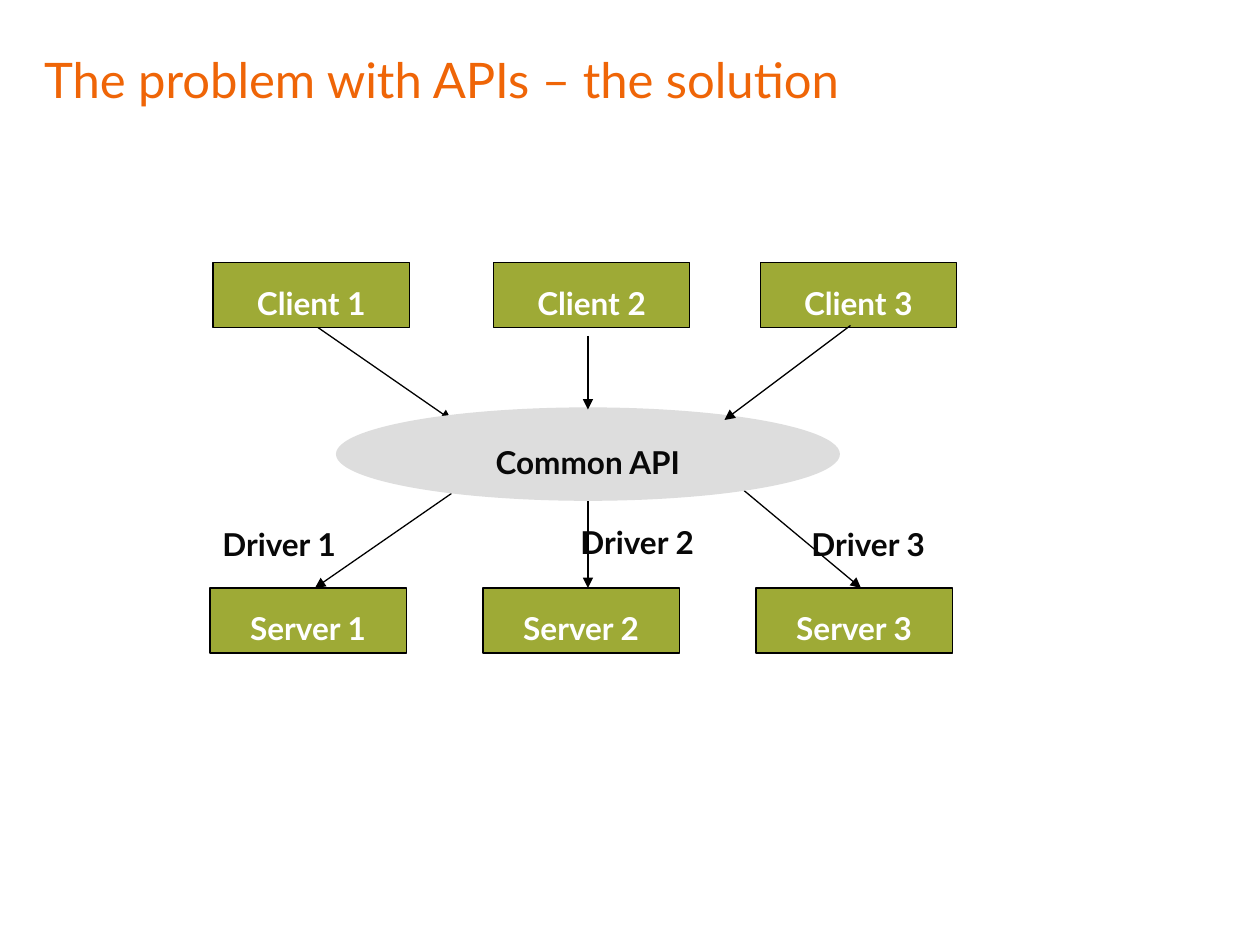
from lxml import etree
from pptx import Presentation
from pptx.dml.color import RGBColor
from pptx.enum.shapes import MSO_CONNECTOR, MSO_SHAPE
from pptx.enum.text import MSO_ANCHOR, PP_ALIGN
from pptx.oxml.ns import qn
from pptx.util import Inches, Pt

RECT, OVAL = MSO_SHAPE.RECTANGLE, MSO_SHAPE.OVAL
LINE = MSO_CONNECTOR.STRAIGHT
MID, TOP = MSO_ANCHOR.MIDDLE, MSO_ANCHOR.TOP
LEFT, CENTER = PP_ALIGN.LEFT, PP_ALIGN.CENTER

ORANGE = RGBColor(0xEF, 0x65, 0x07)
GREEN = RGBColor(0x9E, 0xAA, 0x36)
GREY = RGBColor(0xDD, 0xDD, 0xDD)
INK = RGBColor(0x08, 0x08, 0x08)
BLACK = RGBColor(0, 0, 0)
WHITE = RGBColor(0xFF, 0xFF, 0xFF)

COLS, ROWS = 120, 90
BOX = 18.7, 6.2  # columns and rows of a client or server


class Board:
    font = "Lato"
    width = Pt(0.75)

    def __init__(self, deck):
        self.slide = deck.slides.add_slide(deck.slide_layouts[5])
        self.col = deck.slide_width / COLS
        self.row = deck.slide_height / ROWS

    def place(self, x, y, w, h):
        return [int(n) for n in (x * self.col, y * self.row,
                                 w * self.col, h * self.row)]

    def put_text(self, shape, text, color, size=18, bold=True,
                 align=CENTER, anchor=MID, space=1.4):
        frame = shape.text_frame
        frame.word_wrap = True
        frame.vertical_anchor = anchor
        frame.margin_left = frame.margin_right = Inches(0.1)
        frame.margin_top = frame.margin_bottom = Inches(0.05)
        para = frame.paragraphs[0]
        para.alignment = align
        para.line_spacing = space
        run = para.add_run()
        run.text = text
        font = run.font
        font.name, font.size, font.bold = self.font, Pt(size), bold
        font.color.rgb = color

    def title(self, text, *area):
        shape = self.slide.shapes.title
        shape.left, shape.top, shape.width, shape.height = self.place(*area)
        self.put_text(shape, text, ORANGE, 28, False, LEFT, space=1.0)

    def node(self, kind, text, area, fill, color, edge=None):
        shape = self.slide.shapes.add_shape(kind, *self.place(*area))
        shape.shadow.inherit = False
        shape.fill.solid()
        shape.fill.fore_color.rgb = fill
        if edge is None:
            shape.line.fill.background()
        else:
            shape.line.color.rgb = edge
            shape.line.width = self.width
        self.put_text(shape, text, color)

    def label(self, text, *area):
        shape = self.slide.shapes.add_textbox(*self.place(*area))
        self.put_text(shape, text, INK, align=LEFT, anchor=TOP)

    def arrow(self, *ends):
        line = self.slide.shapes.add_connector(LINE, *self.place(*ends))
        line.line.color.rgb = BLACK
        line.line.width = self.width
        props = line._element.spPr
        etree.SubElement(props.find(qn("a:ln")), qn("a:tailEnd"),
                         type="triangle")
        etree.SubElement(props, qn("a:effectLst"))


def main():
    deck = Presentation()
    deck.slide_width, deck.slide_height = Inches(10), Inches(7.5)
    board = Board(deck)
    board.title("The problem with APIs – the solution", 3, 4.1, 103, 6.8)

    # Arrows that run behind the common layer
    for ends in ((30, 31, 43, 40), (43, 47, 30, 56),
                 (56, 47, 56, 56), (70, 46, 82, 56)):
        board.arrow(*ends)

    # Clients above, servers below
    for i, x in enumerate((20.3, 47, 72.4)):
        for name, left, top in (("Client", x, 25), ("Server", 20 + 26 * i, 56)):
            board.node(RECT, f"{name} {i + 1}", (left, top, *BOX),
                       GREEN, WHITE, BLACK)

    # Driver labels
    for i, (x, y) in enumerate(((20, 48), (54.1, 47.8), (76.1, 48)), 1):
        board.label(f"Driver {i}", x, y, 20.3, 6.2)

    # Common layer, with two arrows in front of it
    board.node(OVAL, "Common API", (32, 38.8, 48, 8.9), GREY, INK)
    board.arrow(81, 31, 69, 40)
    board.arrow(56, 32, 56, 39)

    deck.save("out.pptx")


if __name__ == "__main__":
    main()
